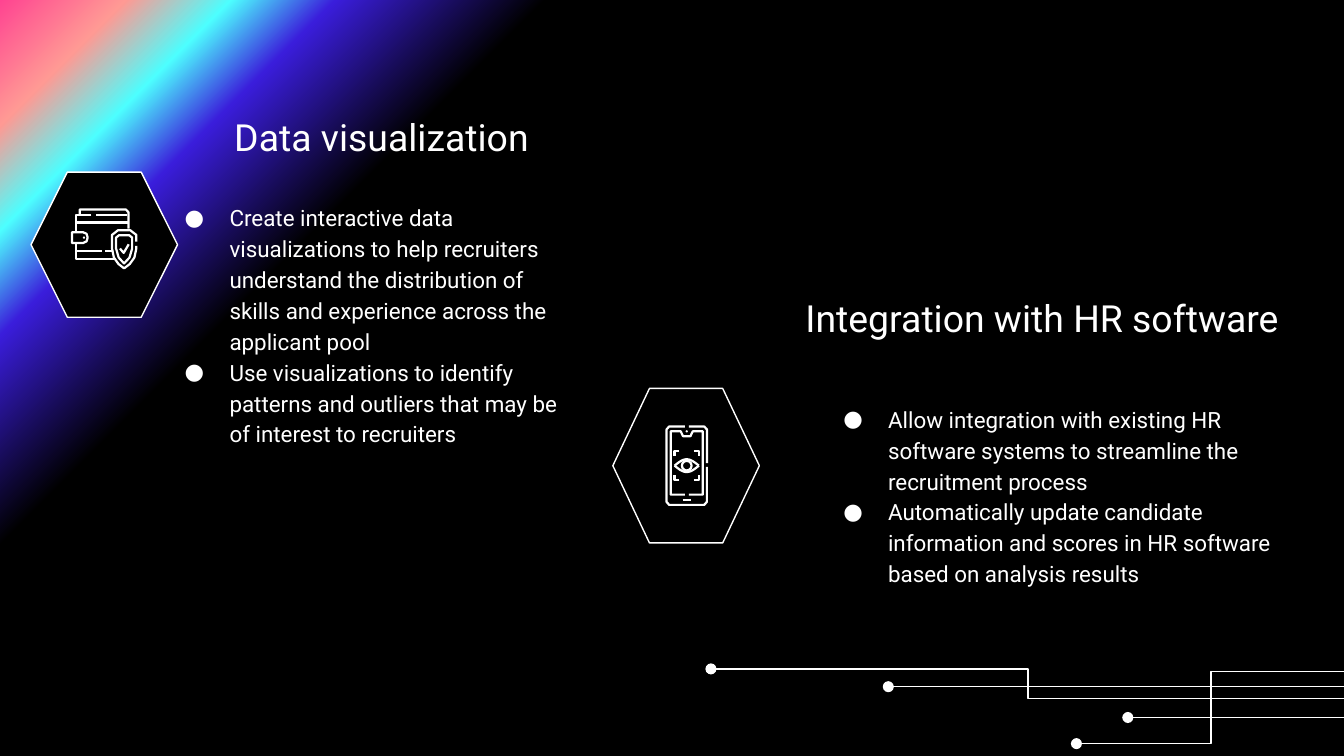
import math

import pptx
import pptx.dml.color
import pptx.enum.shapes
import pptx.enum.text
import pptx.oxml
import pptx.oxml.ns
import pptx.util
from lxml import etree

Pt = pptx.util.Pt
RGBColor = pptx.dml.color.RGBColor
MSO_SHAPE = pptx.enum.shapes.MSO_SHAPE
MSO_CONNECTOR = pptx.enum.shapes.MSO_CONNECTOR
MSO_ANCHOR = pptx.enum.text.MSO_ANCHOR
PP_ALIGN = pptx.enum.text.PP_ALIGN
qn = pptx.oxml.ns.qn

BLACK = RGBColor(0x00, 0x00, 0x00)
WHITE = RGBColor(0xFF, 0xFF, 0xFF)
INDIGO = RGBColor(0x3A, 0x1D, 0xDB)
CYAN = RGBColor(0x4D, 0xFF, 0xFF)
PEACH = RGBColor(0xFF, 0x9A, 0x94)
PINK = RGBColor(0xFF, 0x44, 0x91)

GLOW = [(0, BLACK), (74, BLACK), (84, INDIGO), (89, CYAN), (94, PEACH), (100, PINK)]

WALLET = [
    [(4.7, 3.7), (4.7, 0.8), (29.5, 0.8), (30.8, 2.2), (30.8, 11)],
    [(11, 3.7), (2.7, 3.7), (2.7, 12.9)],
    [(13.5, 3.7), (30, 3.7)],
    [(2.7, 7.7), (30.8, 7.7)],
    [(2.7, 18.7), (2.7, 27.5), (23, 27.5)],
    [(2.7, 23), (16.8, 23)],
    [(18.4, 23), (22, 23)],
    [(0.6, 12.9), (6.5, 12.9), (8.4, 13.7), (9, 15.8), (8.4, 17.8), (6.5, 18.7),
     (0.6, 18.7), (0.6, 12.9)],
]
SHIELD = [
    [(35, 18), (35, 14.4), (31.8, 11.9), (25.2, 11.9), (22, 14.4), (22, 21.7),
     (23, 26.5), (25.5, 30), (28.5, 32.3), (31.5, 30), (34, 26.5), (35, 21.7), (35, 20.3)],
    [(25.8, 14.5), (31.2, 14.5), (32.8, 15.8), (32.8, 21.7), (31.4, 26.5), (28.5, 29.6),
     (25.6, 26.5), (24.2, 21.7), (24.2, 15.8), (25.8, 14.5)],
    [(26.3, 21.7), (28.3, 24), (31, 19.4)],
]
PHONE = [
    [(-1, -21), (-9.4, -21), (-10.8, -19.4), (-10.8, 19.4), (-9.4, 21), (9.4, 21),
     (10.8, 19.4), (10.8, 0.7)],
    [(1.2, -21), (9.4, -21), (10.8, -19.4), (10.8, -1.4)],
    [(-1, 15.5), (-8.6, 15.5), (-8.6, -18.4), (-3.2, -18.4), (-2, -15.8), (2, -15.8),
     (3.2, -18.4), (8.6, -18.4), (8.6, 15.5), (1.2, 15.5)],
    [(-2.2, 18.4), (2.2, 18.4)],
]
FRAME = [
    [(sx * 3.9, sy * 7.8), (sx * 6.5, sy * 7.8), (sx * 6.5, sy * 5.2)]
    for sx in (-1, 1) for sy in (-1, 1)
]
EYE = [
    [(x / 2, side * 3.4 * math.cos(math.pi * x / 26)) for x in range(-13, 14)]
    for side in (-1, 1)
]


class Deck:
    font = "Roboto"
    line_width = 0.75
    icon_width = 1.2

    def __init__(self, width, height):
        self.prs = pptx.Presentation()
        self.prs.slide_width, self.prs.slide_height = Pt(width), Pt(height)
        self.s = self.prs.slides.add_slide(self.prs.slide_layouts[6])

    def background(self, stops, angle):
        fill = self.s.background.fill
        fill.gradient()
        grad = fill._fill._gradFill
        gs_lst = grad.find(qn("a:gsLst"))
        for gs in list(gs_lst):
            gs_lst.remove(gs)
        for pos, color in stops:
            gs = etree.SubElement(gs_lst, qn("a:gs"), pos=str(pos * 1000))
            etree.SubElement(gs, qn("a:srgbClr"), val=str(color))
        lin = grad.find(qn("a:lin"))
        lin.set("ang", str(angle * 60000))
        lin.set("scaled", "0")

    def style(self, sp, fill=None, width=line_width):
        sp.shadow.inherit = False
        if fill is None:
            sp.fill.background()
        else:
            sp.fill.solid()
            sp.fill.fore_color.rgb = fill
        sp.line.color.rgb = WHITE
        sp.line.width = Pt(width)

    def text(self, box, paragraphs, size, anchor=MSO_ANCHOR.TOP, align=None, bullets=False):
        sp = self.s.shapes.add_textbox(*map(Pt, box))
        tf = sp.text_frame
        tf.word_wrap = True
        tf.vertical_anchor = anchor
        tf.margin_left = tf.margin_right = tf.margin_top = tf.margin_bottom = Pt(7.2)
        for i, words in enumerate(paragraphs):
            p = tf.paragraphs[0] if i == 0 else tf.add_paragraph()
            p.line_spacing = 1.15
            p.alignment = align
            if bullets:
                self.bullet(p)
            r = p.add_run()
            r.text = words
            r.font.name = self.font
            r.font.size = Pt(size)
            r.font.color.rgb = WHITE

    def bullet(self, p):
        pPr = p._p.get_or_add_pPr()
        pPr.set("marL", str(Pt(36)))
        pPr.set("indent", str(-Pt(24)))
        color = etree.SubElement(pPr, qn("a:buClr"))
        etree.SubElement(color, qn("a:srgbClr"), val=str(WHITE))
        etree.SubElement(pPr, qn("a:buFont"), typeface=self.font)
        etree.SubElement(pPr, qn("a:buChar"), char="●")

    def hexagon(self, box):
        sp = self.s.shapes.add_shape(MSO_SHAPE.HEXAGON, *map(Pt, box))
        sp.adjustments[0] = 0.25
        self.style(sp, BLACK)

    def trace(self, kind, begin, end):
        cx = self.s.shapes.add_connector(kind, *map(Pt, begin + end))
        cx.line.color.rgb = WHITE
        cx.line.width = Pt(self.line_width)
        etree.SubElement(cx.line._get_or_add_ln(), qn("a:tailEnd"), type="oval")
        etree.SubElement(cx._element.spPr, qn("a:effectLst"))

    def icon(self, origin, strokes, circles):
        x0, y0 = origin
        shapes = self.s.shapes.add_group_shape().shapes
        for stroke in strokes:
            points = [(Pt(x0 + x), Pt(y0 + y)) for x, y in stroke]
            builder = shapes.build_freeform(*points[0])
            builder.add_line_segments(points[1:], close=False)
            self.style(builder.convert_to_shape(), width=self.icon_width)
        for x, y, radius in circles:
            box = (x0 + x - radius, y0 + y - radius, 2 * radius, 2 * radius)
            sp = shapes.add_shape(MSO_SHAPE.OVAL, *map(Pt, box))
            self.style(sp, width=self.icon_width)
            if radius < 1:
                self.style(sp, WHITE)
                sp.line.fill.background()

    def heading(self, box, words):
        self.text(box, [words], 20, MSO_ANCHOR.BOTTOM, PP_ALIGN.CENTER)

    def bullets(self, box, paragraphs):
        self.text(box, paragraphs, 12, bullets=True)


def main():
    deck = Deck(720, 405)
    deck.background(GLOW, 225)

    deck.trace(MSO_CONNECTOR.ELBOW, (720.7, 374.4), (380.9, 358.4))
    deck.trace(MSO_CONNECTOR.STRAIGHT, (720.7, 367.9), (475.9, 367.9))
    deck.trace(MSO_CONNECTOR.ELBOW, (720.7, 359.8), (576.7, 398.4))
    deck.trace(MSO_CONNECTOR.STRAIGHT, (720.7, 384.4), (604.2, 384.4))

    deck.bullets((79.9, 100.1, 230.4, 82.8), [
        "Create interactive data visualizations to help recruiters understand "
        "the distribution of skills and experience across the applicant pool",
        "Use visualizations to identify patterns and outliers that may be "
        "of interest to recruiters",
    ])
    deck.bullets((432.7, 208.1, 262.1, 135.4), [
        "Allow integration with existing HR software systems to streamline "
        "the recruitment process",
        "Automatically update candidate information and scores in HR software "
        "based on analysis results",
    ])
    deck.heading((98.6, 30.2, 211.7, 62), "Data visualization")
    deck.heading((381.6, 127.2, 353.5, 62), "Integration with HR software")

    deck.hexagon((16.6, 92.2, 78.5, 77.8))
    deck.hexagon((328.3, 208.1, 78.5, 82.8))
    deck.icon((38, 111.5), WALLET + SHIELD, [(7, 15.8, 0.6)])
    deck.icon((367.9, 249.5), PHONE + FRAME + EYE, [(0, 0, 2.6), (0, -18.4, 0.6)])

    deck.prs.save("out.pptx")


if __name__ == "__main__":
    main()
